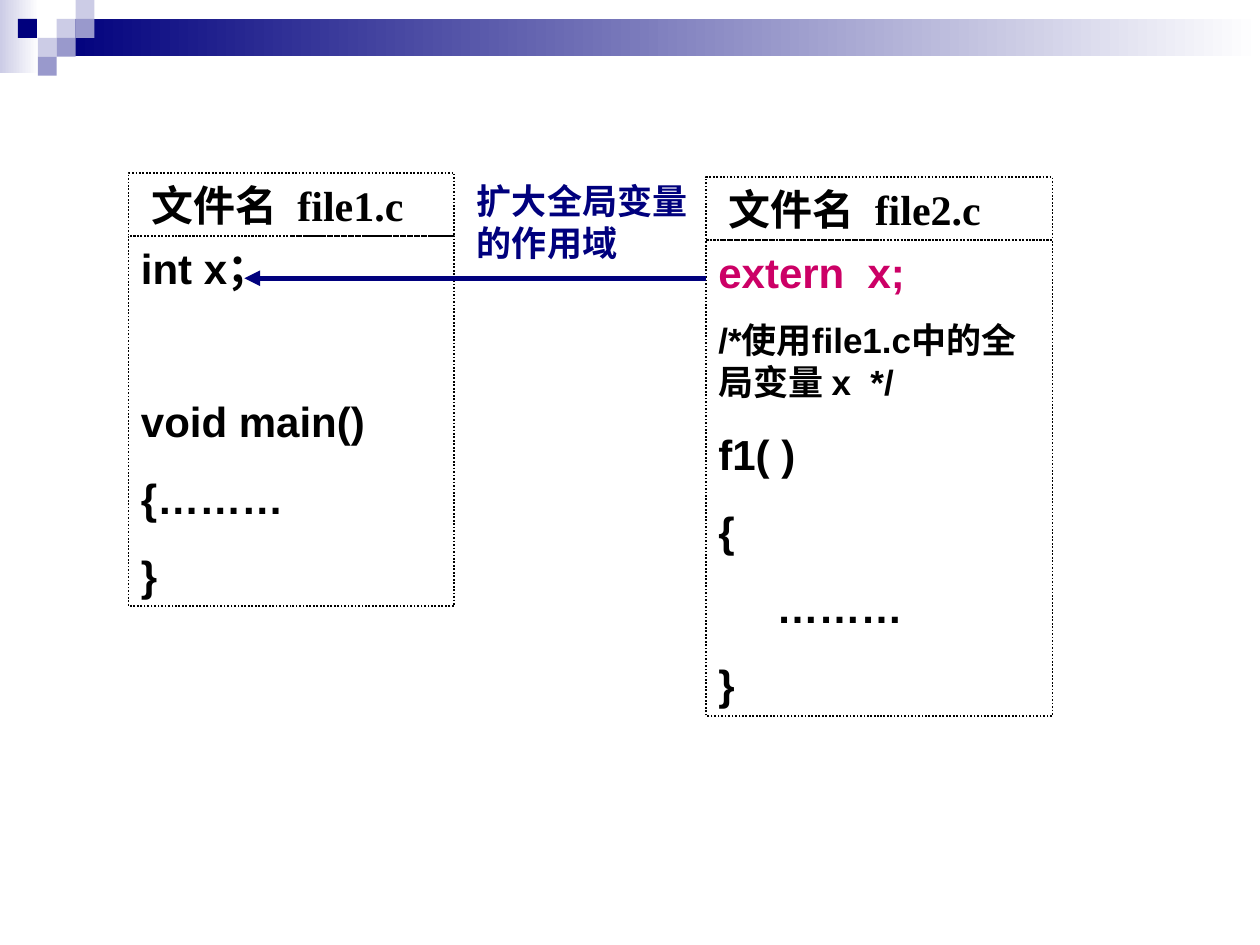
"""Slide showing how extern widens the scope of a global variable across two files."""
from lxml.etree import SubElement
from pptx import Presentation
from pptx.dml.color import RGBColor
from pptx.enum.dml import MSO_LINE_DASH_STYLE as Dash
from pptx.enum.shapes import MSO_CONNECTOR as Connector, MSO_SHAPE as Shape
from pptx.enum.text import MSO_ANCHOR as Anchor, PP_ALIGN as Align
from pptx.oxml.ns import qn
from pptx.util import Pt

NAVY = RGBColor(0x00, 0x00, 0x7D)
MID = RGBColor(0x99, 0x99, 0xCC)
PALE = RGBColor(0xCC, 0xCC, 0xE6)
WHITE = RGBColor(0xFF, 0xFF, 0xFF)
BLACK = RGBColor(0x00, 0x00, 0x00)
CRIMSON = RGBColor(0xCC, 0x00, 0x66)
CJK = "Noto Sans CJK SC"

CELL = 10.8
BANDS = [(0, 0, 22.3, 41.8, PALE), (32.4, CELL, 687.6, 21.2, NAVY)]
MOSAIC = [(3, 1, PALE), (4, 0, PALE), (4, 1, MID), (2, 2, PALE),
          (0.95, 1, NAVY), (3, 2, MID), (2, 3, MID)]

HEADER_HEIGHT = 36
FILES = [
    {"title": ("文件名", " ", "file1.c"), "box": (73.5, 98.8, 186, 211.6),
     "code": [(["int x；"], 24, BLACK, 0), (["void main()"], 24, BLACK, 59),
              (["{………"], 24, BLACK, 15), (["}"], 24, BLACK, 15)]},
    {"title": ("文件名", " ", "file2.c"), "box": (403.4, 101.1, 198, 272),
     "code": [(["extern  x;"], 24, CRIMSON, 0),
              (["/*使用file1.c中的全局变量 x  */"], 20, BLACK, 12.5),
              (["f1( )"], 24, BLACK, 15), (["{"], 24, BLACK, 15),
              (["     ………"], 24, BLACK, 15), (["}"], 24, BLACK, 15)]},
]
SCOPE_NOTE = "扩大全局变量的作用域"
ARROW_START, ARROW_END, ARROW_Y = 403.4, 139.7, 159


def add_rect(slide, left, top, width, height):
    rect = slide.shapes.add_shape(Shape.RECTANGLE, Pt(left), Pt(top), Pt(width), Pt(height))
    rect.shadow.inherit = False
    rect.line.fill.background()
    return rect


def write(frame, lines, face):
    frame.word_wrap = True
    frame.vertical_anchor = Anchor.TOP
    for index, (pieces, size, color, space) in enumerate(lines):
        paragraph = frame.add_paragraph() if index else frame.paragraphs[0]
        paragraph.alignment = Align.LEFT
        paragraph.space_before = Pt(space)
        for piece in pieces:
            run = paragraph.add_run()
            run.text = piece
            run.font.name = face
            run.font.size = Pt(size)
            run.font.bold = True
            run.font.color.rgb = color
            SubElement(run.font._element, qn("a:ea"), typeface=CJK)


def add_panel(slide, box, lines, face):
    panel = add_rect(slide, *box)
    panel.fill.background()
    panel.line.color.rgb = BLACK
    panel.line.width = Pt(1)
    panel.line.dash_style = Dash.ROUND_DOT
    write(panel.text_frame, lines, face)
    return panel


def add_file(slide, title, box, code):
    left, top, width, height = box
    add_panel(slide, (left, top + HEADER_HEIGHT, width, height), code, "Arial")
    header = add_panel(slide, (left, top, width, HEADER_HEIGHT),
                       [(title, 24, BLACK, 0)], "Times New Roman")
    header.text_frame.margin_left = Pt(13)
    label, gap, name = header.text_frame.paragraphs[0].runs
    gap.font._element.set("spc", "600")


def add_decoration(slide):
    for *box, color in BANDS:
        fill = add_rect(slide, *box).fill
        fill.gradient()
        fill.gradient_angle = 0
        for stop, shade in zip(fill.gradient_stops, (color, WHITE)):
            stop.color.rgb = shade
    for column, row, color in MOSAIC:
        fill = add_rect(slide, column * CELL, row * CELL, CELL, CELL).fill
        fill.solid()
        fill.fore_color.rgb = color


def add_scope_arrow(slide):
    arrow = slide.shapes.add_connector(Connector.STRAIGHT, Pt(ARROW_START), Pt(ARROW_Y),
                                       Pt(ARROW_END), Pt(ARROW_Y))
    arrow.line.color.rgb = NAVY
    arrow.line.width = Pt(3)
    SubElement(arrow.line._get_or_add_ln(), qn("a:tailEnd"), type="triangle")
    SubElement(arrow._element.spPr, qn("a:effectLst"))


def main():
    deck = Presentation()
    deck.slide_width, deck.slide_height = Pt(720), Pt(540)
    slide = deck.slides.add_slide(deck.slide_layouts[6])
    add_decoration(slide)
    for file in FILES:
        add_file(slide, **file)
    note = slide.shapes.add_textbox(Pt(265.5), Pt(98.8), Pt(144), Pt(55.5))
    write(note.text_frame, [([SCOPE_NOTE], 20, NAVY, 0)], CJK)
    add_scope_arrow(slide)
    deck.save("out.pptx")


if __name__ == "__main__":
    main()
